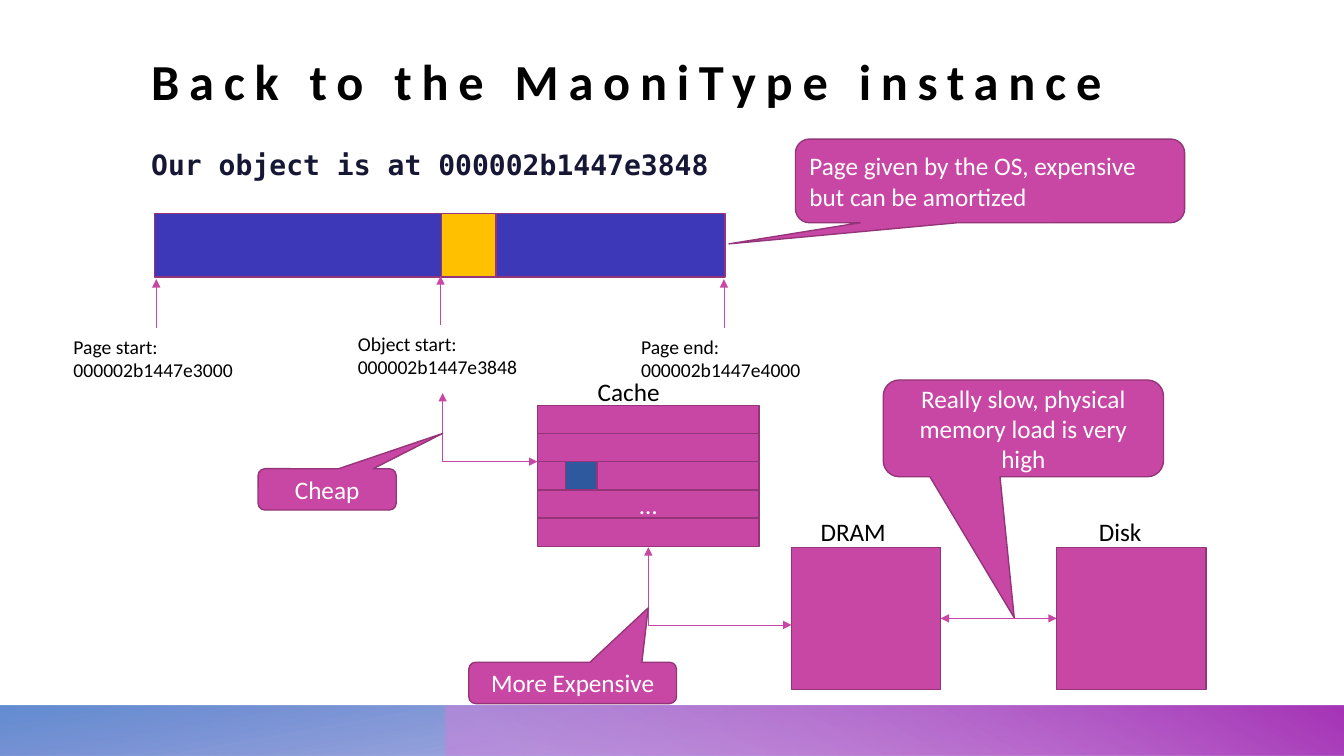
"""Build the slide that places an object in its memory page, cache, DRAM and disk."""
from dataclasses import dataclass

from lxml.etree import SubElement
from pptx import Presentation
from pptx.dml.color import RGBColor
from pptx.enum.shapes import MSO_CONNECTOR as Link, MSO_SHAPE as Shape
from pptx.enum.text import MSO_ANCHOR as Anchor, MSO_AUTO_SIZE as AutoSize, PP_ALIGN as Align
from pptx.oxml import parse_xml
from pptx.oxml.ns import nsdecls, qn
from pptx.util import Inches, Pt


@dataclass(frozen=True)
class Theme:
    font: str = "Calibri"
    mono: str = "DejaVu Sans Mono"
    black: str = "000000"
    white: str = "FFFFFF"
    navy: str = "161734"
    pink: str = "C947A4"
    edge: str = "953579"
    indigo: str = "3C38B8"
    amber: str = "FFC000"
    blue: str = "2E599E"
    title: int = 36
    lead: int = 20
    body: int = 18
    small: int = 14


THEME = Theme()
TITLE = "Back to the MaoniType instance"
LEAD = "Our object is at 000002b1447e3848"
FOOTER_BARS = [
    dict(at=(0, 7, 13.33, 0.5), angle=100, turn=180,
         stops=[(14, "3C38B8", 28), (100, "4779C9", 85)]),
    dict(at=(4.42, 7, 8.92, 0.5), angle=240, turn=0,
         stops=[(9, "CE80DA", 55), (99, "A635B7", 100)]),
]
PAGE_BAR = (1.53, 2.12, 5.66, 0.63)
OBJECT_BAR = (4.38, 2.12, 0.54, 0.63)
ADDRESSES = [
    ("Page start: 000002b1447e3000", 1.55, 2.77),
    ("Object start: 000002b1447e3848", 4.37, 2.74),
    ("Page end: 000002b1447e4000", 7.18, 2.77),
]
CACHE_ROWS = ["", "", "", "…", ""]
CACHE_LEFT, CACHE_TOP, CACHE_WIDTH, ROW_HEIGHT = 5.33, 4.02, 2.2, 0.28
CACHED_OBJECT = (5.61, CACHE_TOP + 2 * ROW_HEIGHT, 0.31, ROW_HEIGHT)
STORES = {"DRAM": (7.85, 5.43, 1.48, 1.41), "Disk": (10.48, 5.43, 1.48, 1.41)}
LABELS = [
    ("Cache", (5.83, 3.68, 1.1, 0.42)),
    ("DRAM", (8.04, 5.07, 1.1, 0.42)),
    ("Disk", (10.8, 5.07, 0.75, 0.42)),
]
ELBOWS = [((4.39, 3.9), (5.33, 4.58)), ((6.43, 5.43), (7.85, 6.2))]
CALLOUTS = [
    ("Page given by the OS, expensive but can be amortized",
     (7.89, 1.38, 3.86, 0.83), (7.23, 2.42), Align.LEFT),
    ("More Expensive", (4.65, 6.57, 2.06, 0.41), (6.43, 6.03), Align.CENTER),
    ("Cheap", (2.56, 4.65, 1.37, 0.41), (4.39, 4.3), Align.CENTER),
    ("Really slow, physical memory load is very high",
     (8.76, 3.77, 2.78, 0.96), (10.06, 6.13), Align.CENTER),
]


def inches(values):
    """Convert numbers to lengths."""
    return [Inches(value) for value in values]


def write(box, text, size=THEME.body, font=THEME.font, color=THEME.black, bold=False,
          align=Align.LEFT, anchor=Anchor.TOP, inset=None, tracking=None):
    """Fill the text frame of a box with one formatted paragraph."""
    frame = box.text_frame
    frame.word_wrap = True
    frame.auto_size = AutoSize.NONE
    frame.vertical_anchor = anchor
    if inset is not None:
        frame.margin_left = frame.margin_right = Inches(inset)
        frame.margin_top = frame.margin_bottom = Inches(inset)
    para = frame.paragraphs[0]
    para.alignment = align
    span = para.add_run()
    span.text = text
    span.font.name, span.font.size, span.font.bold = font, Pt(size), bold
    span.font.color.rgb = RGBColor.from_string(color)
    if tracking:
        span.font._element.set("spc", str(tracking * 100))
    return para


def add_text(page, text, at, **style):
    """Add a text box."""
    return write(page.shapes.add_textbox(*inches(at)), text, **style)


def add_block(page, at, fill=THEME.pink, kind=Shape.FLOWCHART_PROCESS):
    """Add an outlined shape with a plain fill."""
    block = page.shapes.add_shape(kind, *inches(at))
    block.shadow.inherit = False
    block.fill.solid()
    block.fill.fore_color.rgb = RGBColor.from_string(fill)
    block.line.color.rgb = RGBColor.from_string(THEME.edge)
    block.line.width = Pt(1)
    return block


def add_footer_bar(page, at, angle, turn, stops):
    """Add a mirrored bar with a translucent gradient."""
    bar = page.shapes.add_shape(Shape.RECTANGLE, *inches(at))
    bar.shadow.inherit = False
    bar.line.fill.background()
    bar.rotation = turn
    marks = "".join(
        f'<a:gs pos="{place * 1000}"><a:srgbClr val="{color}">'
        f'<a:alpha val="{opacity * 1000}"/></a:srgbClr></a:gs>'
        for place, color, opacity in stops)
    gradient = parse_xml(
        f'<a:gradFill {nsdecls("a")} rotWithShape="1"><a:gsLst>{marks}</a:gsLst>'
        f'<a:lin ang="{angle * 60000}" scaled="0"/></a:gradFill>')
    properties = bar._element.spPr
    properties.find(qn("a:xfrm")).set("flipH", "1")
    properties.find(qn("a:prstGeom")).addnext(gradient)


def add_arrow(page, start, end, kind=Link.STRAIGHT, double=False):
    """Add a thin arrow; an elbow bends right at its start."""
    arrow = page.shapes.add_connector(kind, *inches(start + end))
    arrow.line.color.rgb = RGBColor.from_string(THEME.pink)
    arrow.line.width = Pt(0.5)
    properties = arrow._element.spPr
    for side in ("headEnd", "tailEnd") if double else ("tailEnd",):
        SubElement(properties.find(qn("a:ln")), qn(f"a:{side}"), type="triangle")
    SubElement(properties, qn("a:effectLst"))
    if kind == Link.ELBOW:
        guides = properties.find(qn("a:prstGeom")).find(qn("a:avLst"))
        SubElement(guides, qn("a:gd"), name="adj1", fmla="val 0")
    return arrow


def add_callout(page, text, at, tip, align):
    """Add a rounded callout whose tail ends at the tip."""
    callout = add_block(page, at, kind=Shape.ROUNDED_RECTANGULAR_CALLOUT)
    left, top, width, height = at
    callout.adjustments[0] = (tip[0] - left) / width - 0.5
    callout.adjustments[1] = (tip[1] - top) / height - 0.5
    write(callout, text, color=THEME.white, align=align, anchor=Anchor.MIDDLE)


def main():
    """Build and save the deck."""
    deck = Presentation()
    deck.slide_width, deck.slide_height = inches((13.33, 7.5))
    page = deck.slides.add_slide(deck.slide_layouts[5])
    for bar in FOOTER_BARS:
        add_footer_bar(page, **bar)

    title = page.shapes.title
    title.left, title.top, title.width, title.height = inches((1.5, 0.27, 11.2, 0.83))
    write(title, TITLE, size=THEME.title, bold=True, anchor=Anchor.BOTTOM, inset=0, tracking=7)
    lead = add_text(page, LEAD, (1.5, 1.4, 11.2, 0.5), size=THEME.lead, font=THEME.mono,
                    color=THEME.navy, bold=True, inset=0)
    lead.line_spacing, lead.space_before = 1.2, Pt(10)

    add_block(page, PAGE_BAR, THEME.indigo, Shape.RECTANGLE)
    add_block(page, OBJECT_BAR, THEME.amber, Shape.RECTANGLE)
    for text, x, tip in ADDRESSES:
        add_arrow(page, (x, tip + 0.48), (x, tip))
        add_text(page, text, (x - 0.92, tip + 0.5, 2.11, 0.57), size=THEME.small)

    for index, text in enumerate(CACHE_ROWS):
        top = CACHE_TOP + index * ROW_HEIGHT
        row = add_block(page, (CACHE_LEFT, top, CACHE_WIDTH, ROW_HEIGHT))
        if text:
            write(row, text, color=THEME.white, align=Align.CENTER, anchor=Anchor.MIDDLE)
    add_block(page, CACHED_OBJECT, THEME.blue)

    stores = {name: add_block(page, at) for name, at in STORES.items()}
    for text, at in LABELS:
        add_text(page, text, at)
    for start, end in ELBOWS:
        add_arrow(page, start, end, Link.ELBOW, double=True)
    load = add_arrow(page, (9.33, 6.14), (10.48, 6.14), double=True)
    load.begin_connect(stores["DRAM"], 3)
    load.end_connect(stores["Disk"], 1)
    for callout in CALLOUTS:
        add_callout(page, *callout)
    deck.save("out.pptx")


if __name__ == "__main__":
    main()
